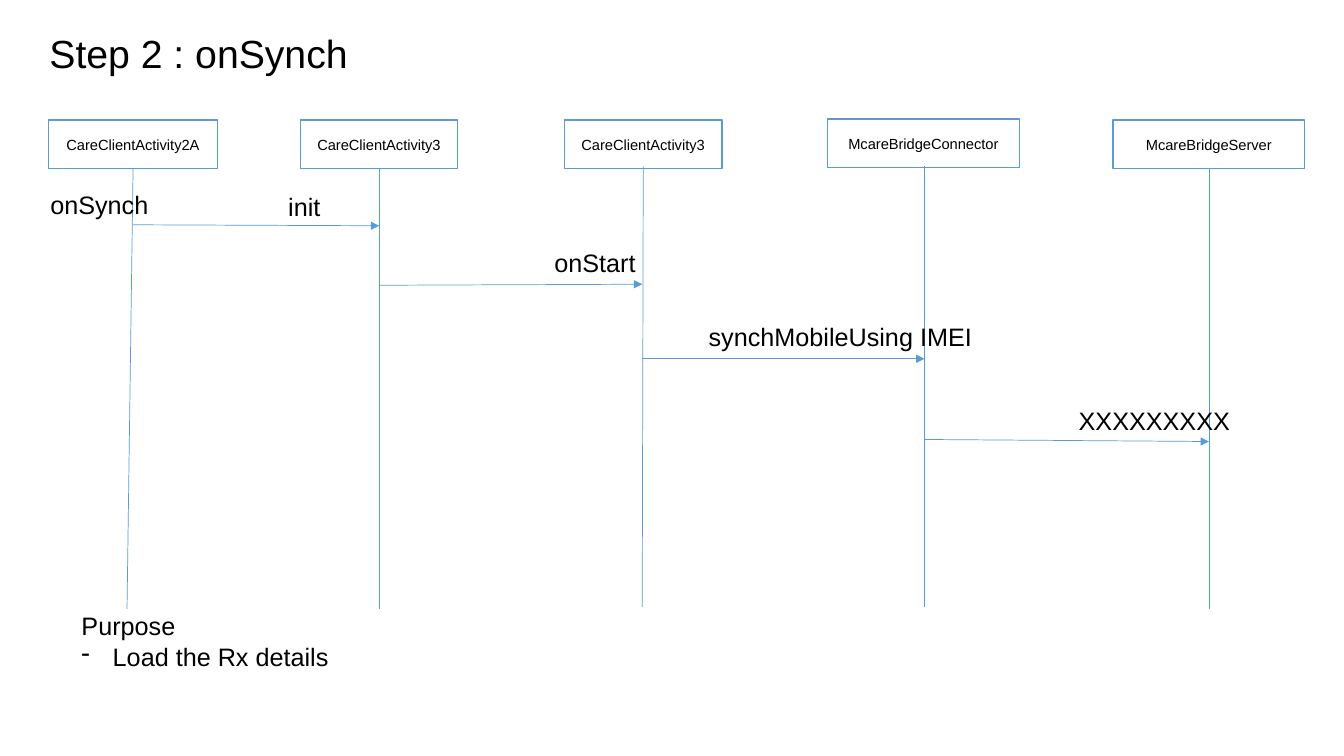
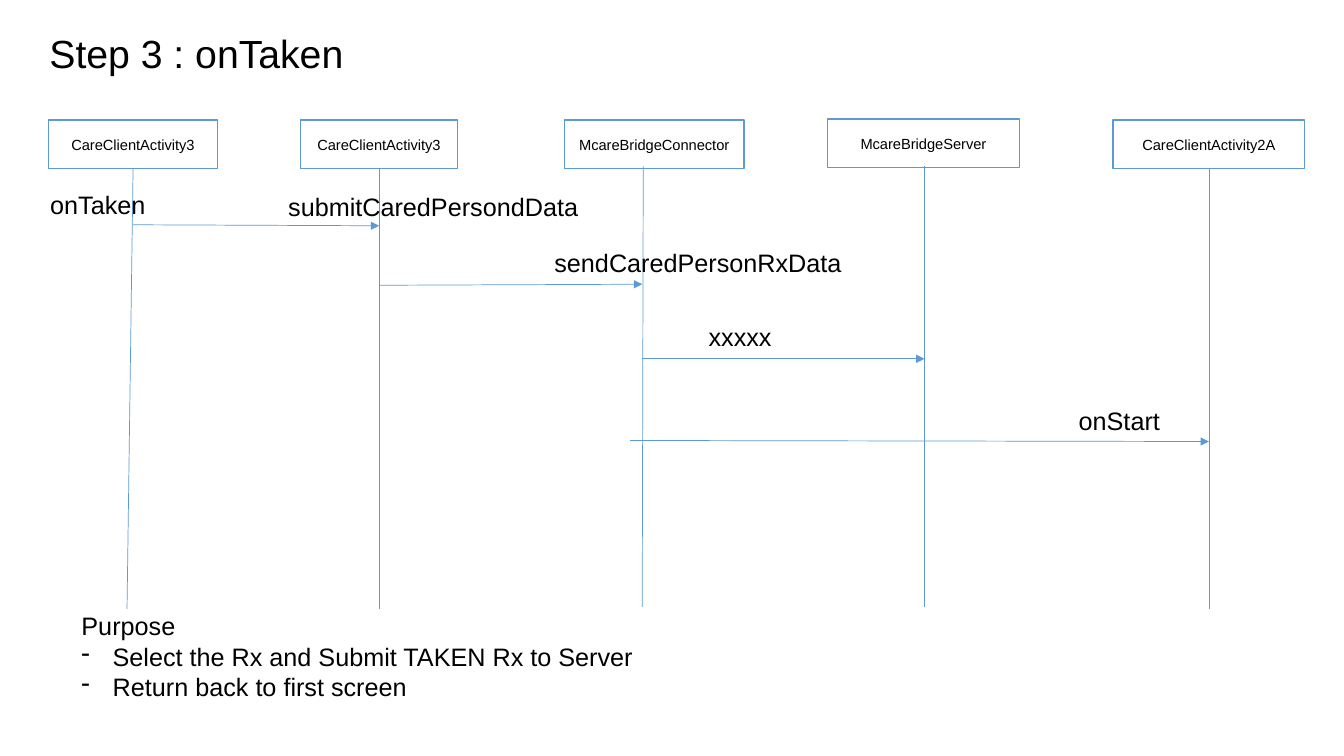
import dataclasses
import typing

import lxml.etree
import pptx
import pptx.dml.color
import pptx.enum.shapes
import pptx.enum.text
import pptx.oxml.ns
import pptx.util

Inches = pptx.util.Inches
Pt = pptx.util.Pt
RGB = pptx.dml.color.RGBColor
Align = pptx.enum.text.PP_ALIGN
Anchor = pptx.enum.text.MSO_ANCHOR
Fit = pptx.enum.text.MSO_AUTO_SIZE
Point = tuple[float, float]


# Shared look
@dataclasses.dataclass(frozen=True)
class Theme:
    font: str = "Arial"
    ink: RGB = RGB(0, 0, 0)
    paper: RGB = RGB(255, 255, 255)
    blue: RGB = RGB(0x5B, 0x9B, 0xD5)
    title: float = 28
    body: float = 18
    label: float = 10.5
    border: float = 1
    thin: float = 0.5


THEME = Theme()


# Parts of a sequence chart
@dataclasses.dataclass(frozen=True)
class Lane:
    left: float
    top: float
    start: Point
    end: Point


@dataclasses.dataclass(frozen=True)
class Actor:
    name: str
    width: float


@dataclasses.dataclass(frozen=True)
class Call:
    text: str
    width: float


@dataclasses.dataclass(frozen=True)
class Arrow:
    start: Point
    end: Point


@dataclasses.dataclass(frozen=True)
class Step:
    title: str
    actors: list[Actor]
    calls: list[Call]
    last: Arrow
    goals: list[str]
    width: float


HEAD = 0.48
LANES = [
    Lane(0.48, 1.19, (1.32, 1.67), (1.26, 6.04)),
    Lane(2.98, 1.19, (3.76, 1.67), (3.76, 6.04)),
    Lane(5.6, 1.19, (6.38, 1.65), (6.37, 6.02)),
    Lane(8.21, 1.18, (9.17, 1.65), (9.17, 6.02)),
    Lane(11.04, 1.19, (11.99, 1.67), (11.99, 6.04)),
]
ARROWS = [
    Arrow((1.32, 2.23), (3.76, 2.24)),
    Arrow((3.76, 2.83), (6.37, 2.82)),
    Arrow((6.37, 3.56), (9.17, 3.56)),
]
SPOTS = [(0.4, 1.83), (2.76, 1.85), (5.4, 2.4), (6.93, 3.14), (10.6, 3.97)]

STEPS = [
    Step(
        "Step 2 : onSynch",
        [
            Actor("CareClientActivity2A", 1.68),
            Actor("CareClientActivity3", 1.56),
            Actor("CareClientActivity3", 1.56),
            Actor("McareBridgeConnector", 1.9),
            Actor("McareBridgeServer", 1.9),
        ],
        [
            Call("onSynch", 1.18),
            Call("init", 0.52),
            Call("onStart", 1.02),
            Call("synchMobileUsing IMEI", 2.84),
            Call("XXXXXXXXX", 1.72),
        ],
        Arrow((9.17, 4.36), (11.99, 4.38)),
        ["Load the Rx details"],
        4.65,
    ),
    Step(
        "Step 3 : onTaken",
        [
            Actor("CareClientActivity3", 1.68),
            Actor("CareClientActivity3", 1.56),
            Actor("McareBridgeConnector", 1.78),
            Actor("McareBridgeServer", 1.9),
            Actor("CareClientActivity2A", 1.9),
        ],
        [
            Call("onTaken", 1.16),
            Call("submitCaredPersondData", 3.11),
            Call("sendCaredPersonRxData", 3.08),
            Call("xxxxx", 0.83),
            Call("onStart", 1.02),
        ],
        Arrow((6.25, 4.37), (11.99, 4.38)),
        ["Select the Rx and Submit TAKEN Rx to Server", "Return back to first screen"],
        6.03,
    ),
]


# Drawing tools
def style(item: typing.Any, values: dict[str, typing.Any]) -> None:
    for name, value in values.items():
        setattr(item, name, value)


def add_tag(parent: typing.Any, tag: str, **values: str) -> None:
    node = lxml.etree.SubElement(parent, pptx.oxml.ns.qn(tag))
    for name, value in values.items():
        node.set(name, value)


def write(frame: typing.Any, lines: list[str], size: float, **form: typing.Any) -> None:
    frame.text = "\n".join(lines)
    for para in frame.paragraphs:
        style(para, {"alignment": Align.LEFT, **form})
        for run in para.runs:
            style(run.font, {"name": THEME.font, "size": Pt(size)})
            run.font.color.rgb = THEME.ink


def add_title(slide: typing.Any, text: str) -> None:
    title = slide.shapes.title
    style(title, {
        "left": Inches(0.39), "top": Inches(0.19),
        "width": Inches(12.55), "height": Inches(0.73),
    })
    write(title.text_frame, [text], THEME.title, line_spacing=0.9)
    style(title.text_frame, {"vertical_anchor": Anchor.MIDDLE, "auto_size": Fit.NONE})


def add_actor(slide: typing.Any, actor: Actor, lane: Lane) -> None:
    box = slide.shapes.add_shape(
        pptx.enum.shapes.MSO_SHAPE.RECTANGLE,
        Inches(lane.left), Inches(lane.top), Inches(actor.width), Inches(HEAD),
    )
    box.shadow.inherit = False
    box.fill.solid()
    box.fill.fore_color.rgb = THEME.paper
    box.line.color.rgb = THEME.blue
    box.line.width = Pt(THEME.border)
    write(box.text_frame, [actor.name], THEME.label, alignment=Align.CENTER)
    box.text_frame.vertical_anchor = Anchor.MIDDLE


def add_line(slide: typing.Any, start: Point, end: Point, head: bool = False) -> None:
    line = slide.shapes.add_connector(
        pptx.enum.shapes.MSO_CONNECTOR.STRAIGHT, *map(Inches, start + end)
    )
    line.line.color.rgb = THEME.blue
    line.line.width = Pt(THEME.thin)
    props = line._element.spPr
    if head:
        add_tag(props.find(pptx.oxml.ns.qn("a:ln")), "a:tailEnd", type="triangle")
    add_tag(props, "a:effectLst")


def add_text(
    slide: typing.Any, lines: list[str], spot: Point, width: float, height: float, wrap: bool
) -> typing.Any:
    box = slide.shapes.add_textbox(*map(Inches, (*spot, width, height)))
    write(box.text_frame, lines, THEME.body)
    style(box.text_frame, {"word_wrap": wrap, "auto_size": Fit.SHAPE_TO_FIT_TEXT})
    return box.text_frame


def add_goals(slide: typing.Any, step: Step) -> None:
    height = 0.41 + 0.3 * len(step.goals)
    frame = add_text(slide, ["Purpose", *step.goals], (0.71, 6.01), step.width, height, True)
    for para in frame.paragraphs[1:]:
        props = para._p.get_or_add_pPr()
        props.set("marL", str(Inches(0.31)))
        props.set("indent", str(-Inches(0.31)))
        add_tag(props, "a:buChar", char="-")


def add_step(deck: typing.Any, step: Step) -> None:
    slide = deck.slides.add_slide(deck.slide_layouts[5])
    add_title(slide, step.title)
    for actor, lane in zip(step.actors, LANES):
        add_actor(slide, actor, lane)
    for lane in LANES:
        add_line(slide, lane.start, lane.end)
    for arrow in [*ARROWS, step.last]:
        add_line(slide, arrow.start, arrow.end, head=True)
    add_goals(slide, step)
    for call, spot in zip(step.calls, SPOTS):
        add_text(slide, [call.text], spot, call.width, 0.4, False)


# Build the deck
deck = pptx.Presentation()
style(deck, {"slide_width": Inches(13.33), "slide_height": Inches(7.5)})
for step in STEPS:
    add_step(deck, step)
deck.save("out.pptx")
